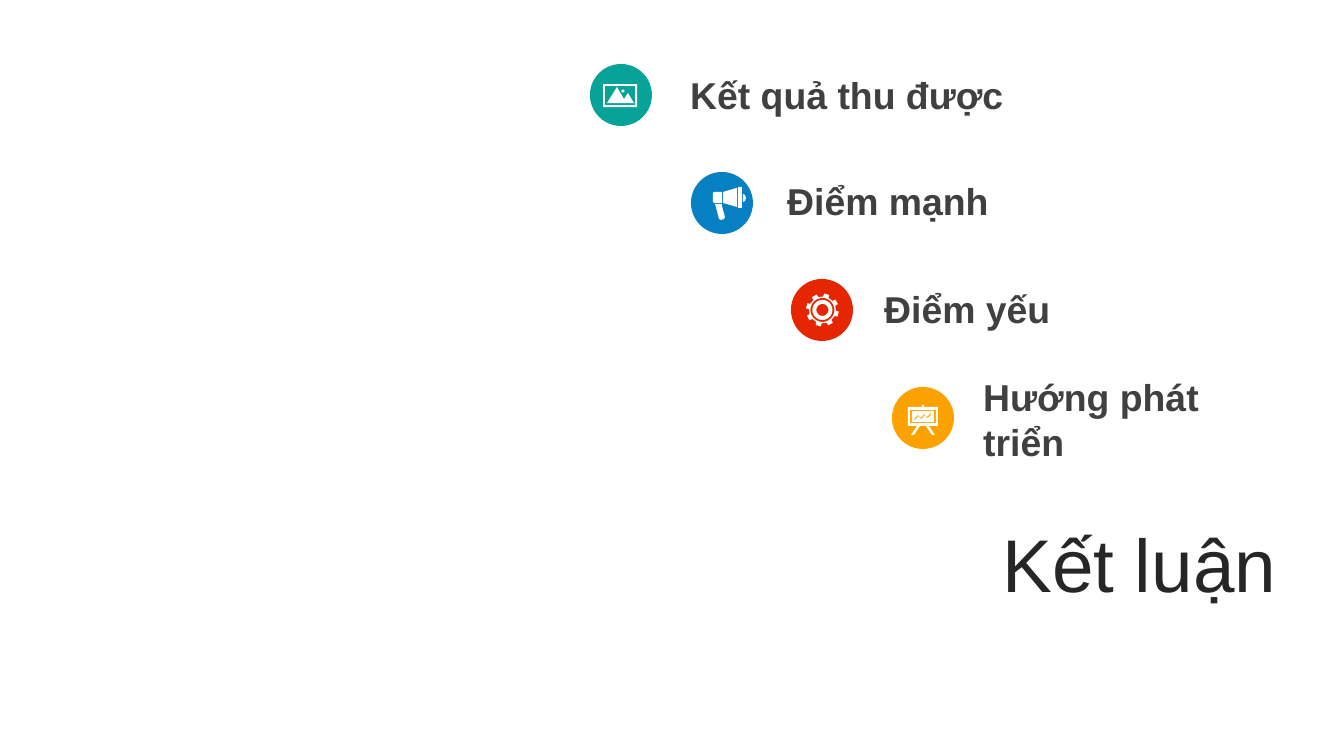
from dataclasses import dataclass
from math import cos, pi, radians, sin

from pptx import Presentation
from pptx import util as u
from pptx.dml.color import RGBColor
from pptx.enum import shapes, text

PX = 914400 / 134.4


@dataclass(frozen=True)
class Theme:
    font: str = "Arial"
    label: str = "404040"
    title: str = "262626"
    icon: str = "FFFFFF"
    teal: str = "07A398"
    blue: str = "0680C3"
    red: str = "E62601"
    amber: str = "FBA200"
    label_size: int = 20
    title_size: int = 40


THEME = Theme()
DISC = 62


def px(length):
    return u.Emu(round(length * PX))


def paint(shape, color):
    shape.shadow.inherit = False
    shape.fill.solid()
    shape.fill.fore_color.rgb = RGBColor.from_string(color)
    shape.line.fill.background()


def add_text(page, words, left, top, width, height, *, size, color, bold=False,
             align=text.PP_ALIGN.LEFT, anchor=text.MSO_ANCHOR.TOP, insets=None):
    box = page.shapes.add_textbox(px(left), px(top), px(width), px(height))
    frame = box.text_frame
    frame.word_wrap = True
    frame.auto_size = text.MSO_AUTO_SIZE.SHAPE_TO_FIT_TEXT
    frame.vertical_anchor = anchor
    if insets:
        frame.margin_left = frame.margin_right = px(insets[0])
        frame.margin_top = frame.margin_bottom = px(insets[1])
    para = frame.paragraphs[0]
    para.alignment = align
    span = para.add_run()
    span.text = words
    span.font.name = THEME.font
    span.font.size = u.Pt(size)
    span.font.bold = bold
    span.font.color.rgb = RGBColor.from_string(color)


def add_disc(page, left, top, color):
    disc = page.shapes.add_shape(shapes.MSO_SHAPE.OVAL, px(left), px(top), px(DISC), px(DISC))
    paint(disc, color)


def add_icon(page, left, top, contours):
    """Draw closed contours, given in px from the disc's corner, as one outline."""
    placed = [[(px(left + x), px(top + y)) for x, y in contour] for contour in contours]
    builder = page.shapes.build_freeform(*placed[0][0], scale=1.0)
    for index, points in enumerate(placed):
        if index:
            builder.move_to(*points[0])
        builder.add_line_segments(points[1:], close=True)
    paint(builder.convert_to_shape(), THEME.icon)


def rectangle(left, top, right, bottom):
    return [(left, top), (right, top), (right, bottom), (left, bottom)]


def circle(x, y, radius, steps=36):
    return [(x + radius * cos(2 * pi * i / steps), y + radius * sin(2 * pi * i / steps))
            for i in range(steps)]


def picture_icon():
    mountains = [(17, 39), (27, 23), (34, 35), (38, 29), (44, 39)]
    return [rectangle(13, 20, 47, 43), rectangle(15, 22, 45, 41),
            mountains, circle(33, 27, 1.5, 12)]


def megaphone_icon():
    handle = [(24, 32), (31, 32), (31, 34), (34, 45), (33, 47), (30, 48), (28, 47), (25, 35)]
    cone = [(32, 20), (46, 16), (46, 35), (32, 31)]
    body = [(23, 20), (31, 20), (31, 31), (23, 31), (22, 30), (22, 21)]
    bump = [(52, 22), (54, 23), (55, 26), (54, 29), (52, 30)]
    return [handle, cone, body, rectangle(47, 15, 51, 36), bump]


def gear_icon(teeth=8):
    x, y = 31.5, 31
    rim = []
    for tooth in range(teeth):
        middle = 360 * tooth / teeth - 75
        for offset, radius in ((-12, 13.5), (-9, 16.5), (9, 16.5), (12, 13.5)):
            angle = radians(middle + offset)
            rim.append((x + radius * cos(angle), y + radius * sin(angle)))
    return [rim] + [circle(x, y, radius) for radius in (12, 10, 6)]


def board_icon():
    trend = [(22, 32), (26, 28), (29, 31), (32, 27), (35, 30), (39, 26)]
    trend_band = trend + [(x + 0.5, y + 1.3) for x, y in reversed(trend)]
    leg = [(25, 39), (28, 39), (22, 48), (19, 48)]
    other_leg = [(DISC - x, y) for x, y in leg]
    return [rectangle(16, 20, 46, 39), rectangle(18, 23, 44, 36), rectangle(20, 24, 42, 35),
            trend_band, rectangle(30, 18, 32, 20), leg, other_leg]


def main():
    deck = Presentation()
    deck.slide_width, deck.slide_height = px(1344), px(756)
    page = deck.slides.add_slide(deck.slide_layouts[6])

    steps = [
        ("Kết quả thu được", THEME.teal, picture_icon(), (677, 66, 462, 59)),
        ("Điểm mạnh", THEME.blue, megaphone_icon(), (774, 172, 329, 59)),
        ("Điểm yếu", THEME.red, gear_icon(), (871, 280, 329, 59)),
        ("Hướng phát triển", THEME.amber, board_icon(), (970, 368, 329, 103)),
    ]
    for index, (words, color, icon, area) in enumerate(steps):
        left, top = round(590 + 302 * index / 3), round(64 + 323 * index / 3)
        add_disc(page, left, top, color)
        add_icon(page, left, top, icon)
        add_text(page, words, *area, size=THEME.label_size, color=THEME.label, bold=True)

    add_text(page, "Kết luận", 761, 512, 524, 101, size=THEME.title_size, color=THEME.title,
             align=text.PP_ALIGN.RIGHT, anchor=text.MSO_ANCHOR.MIDDLE, insets=(9, 5))
    deck.save("out.pptx")


if __name__ == "__main__":
    main()
